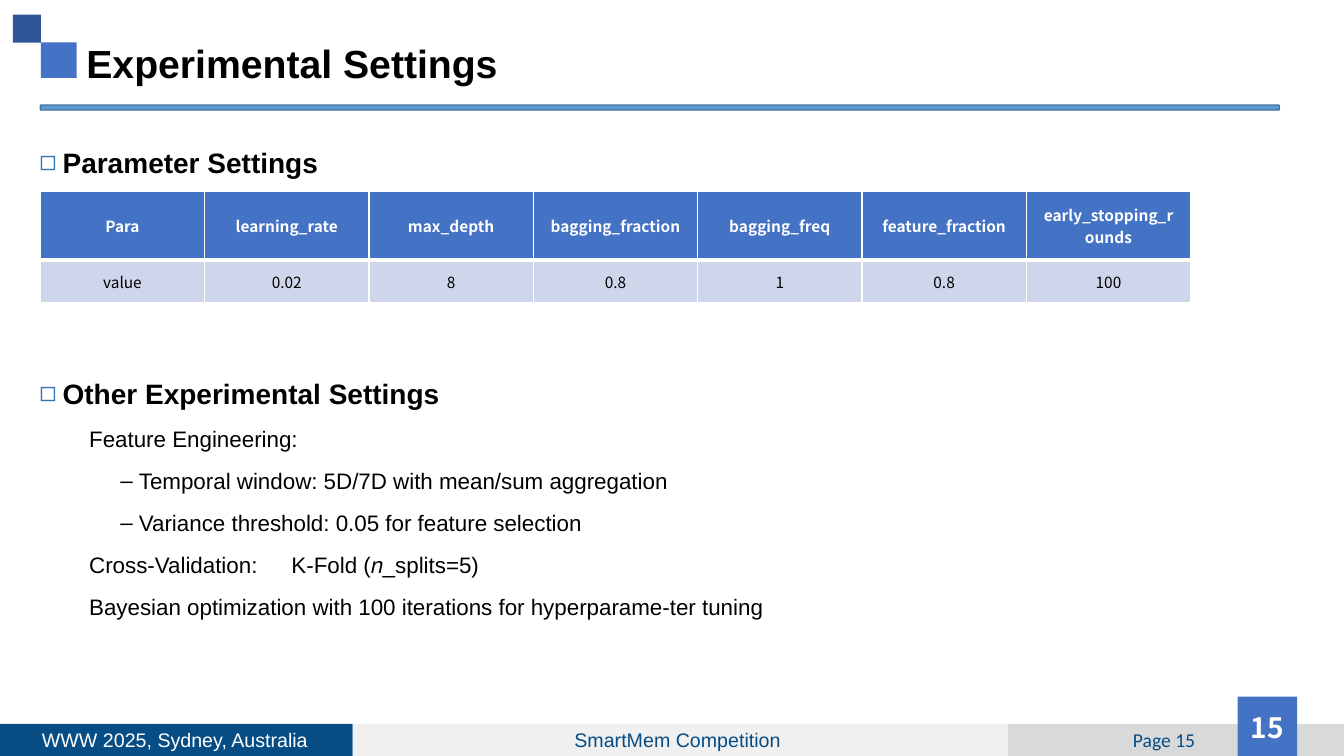
"""Build the Experimental Settings slide with its table, list and footer."""
from lxml.etree import SubElement
from pptx import Presentation
from pptx.dml.color import RGBColor
from pptx.enum.shapes import MSO_SHAPE
from pptx.enum.text import MSO_ANCHOR, MSO_AUTO_SIZE, PP_ALIGN
from pptx.oxml.ns import qn
from pptx.util import Pt


class Theme:
    black, white = "000000", "FFFFFF"
    blue, navy, deep = "4472C4", "2F5597", "064C85"
    pale, gray, light = "CFD5EA", "D9D9D9", "F0F0F0"
    rule, edge, mark = "5B9BD5", "43739E", "2E75B6"
    sans, calm, wide = "Arial", "Calibri", "Noto Sans CJK SC"
    title, head, body, foot, page, cell = 28, 20, 16, 14, 20, 11


def style(para, face, size, color, bold=False, align=PP_ALIGN.CENTER):
    para.alignment = align
    font = para.font
    font.name, font.size, font.bold = face, Pt(size), bold
    font.color.rgb = RGBColor.from_string(color)


deck = Presentation()
deck.slide_width, deck.slide_height = Pt(960), Pt(540)
slide = deck.slides.add_slide(deck.slide_layouts[1])
shapes = slide.shapes

blocks = [
    (MSO_SHAPE.RECTANGLE, 0, 517, 252, 23, Theme.deep),
    (MSO_SHAPE.RECTANGLE, 252, 517, 468, 23, Theme.light),
    (MSO_SHAPE.RECTANGLE, 720, 517, 240, 23, Theme.gray),
    (MSO_SHAPE.RECTANGLE, 29.3, 30.3, 25.4, 25.4, Theme.blue),
    (MSO_SHAPE.RECTANGLE, 9.3, 10.5, 20, 20, Theme.navy),
    (MSO_SHAPE.RECTANGLE, 884, 497.5, 42.5, 42.5, Theme.blue),
    (MSO_SHAPE.ROUNDED_RECTANGLE, 28.8, 75, 885, 3.6, Theme.rule),
]
for kind, left, top, width, height, color in blocks:
    block = shapes.add_shape(kind, Pt(left), Pt(top), Pt(width), Pt(height))
    block.shadow.inherit = False
    block.fill.solid()
    block.fill.fore_color.rgb = RGBColor.from_string(color)
    if color == Theme.rule:
        block.line.color.rgb = RGBColor.from_string(Theme.edge)
        block.line.width = Pt(1)
    else:
        block.line.fill.background()

labels = [
    ("WWW 2025, Sydney, Australia", 17, 514, 216, Theme.sans, Theme.foot, Theme.white),
    ("SmartMem Competition", 252, 514, 464, Theme.sans, Theme.foot, Theme.deep),
    ("Page 15", 724, 514, 215, Theme.calm, Theme.foot, Theme.deep),
    ("15", 850.5, 505, 109.5, Theme.wide, Theme.page, Theme.white),
]
for text, left, top, width, face, size, color in labels:
    frame = shapes.add_textbox(Pt(left), Pt(top), Pt(width), Pt(29)).text_frame
    frame.word_wrap = True
    frame.vertical_anchor = MSO_ANCHOR.MIDDLE
    frame.text = text
    style(frame.paragraphs[0], face, size, color, face == Theme.wide)

title = shapes.title
title.left, title.top, title.width, title.height = Pt(54.5), Pt(24.5), Pt(755), Pt(41)
frame = title.text_frame
frame.text = "Experimental Settings"
frame.auto_size = MSO_AUTO_SIZE.NONE
frame.vertical_anchor = MSO_ANCHOR.MIDDLE
style(frame.paragraphs[0], Theme.sans, Theme.title, Theme.black, True, PP_ALIGN.LEFT)

body = slide.placeholders[1]
body.left, body.top, body.width, body.height = Pt(21), Pt(88.3), Pt(885), Pt(354)
frame = body.text_frame
frame.auto_size = MSO_AUTO_SIZE.NONE
frame.vertical_anchor = MSO_ANCHOR.TOP
items = [
    ("Parameter Settings", "◻", 16.5, -16.5, 0),
    ("Other Experimental Settings", "◻", 16.5, -16.5, 129),
    ("Feature Engineering:", None, 0, 35.5, 1.2),
    ("Temporal window: 5D/7D with mean/sum aggregation", "–", 71, -13.3, 1.2),
    ("Variance threshold: 0.05 for feature selection", "–", 71, -13.3, 1.2),
    ("Cross-Validation:\tK-Fold (𝑛_splits=5)", None, 0, 35.5, 1.2),
    ("Bayesian optimization with 100 iterations for hyperparame-ter tuning",
     None, 0, 35.5, 1.2),
]
for spot, (text, sign, margin, indent, gap) in enumerate(items):
    para = frame.paragraphs[0] if spot == 0 else frame.add_paragraph()
    para.text = text
    props = para._p.get_or_add_pPr()
    props.set("marL", str(Pt(margin)))
    props.set("indent", str(Pt(indent)))
    main = sign == "◻"
    if sign:
        tint = SubElement(props, qn("a:buClr"))
        SubElement(tint, qn("a:srgbClr"), val=Theme.mark if main else Theme.black)
        SubElement(props, qn("a:buChar"), char=sign)
    else:
        SubElement(props, qn("a:buNone"))
    if "\t" in text:
        tabs = SubElement(props, qn("a:tabLst"))
        SubElement(tabs, qn("a:tab"), pos=str(Pt(168.5)), algn="l")
    para.line_spacing = 1.5
    para.space_before, para.space_after = Pt(gap), Pt(0)
    size = Theme.head if main else Theme.body
    style(para, Theme.sans, size, Theme.black, main, PP_ALIGN.LEFT)

rows = [
    ["Para", "learning_rate", "max_depth", "bagging_fraction", "bagging_freq",
     "feature_fraction", "early_stopping_rounds"],
    ["value", "0.02", "8", "0.8", "1", "0.8", "100"],
]
looks = [(48.5, Theme.blue, Theme.white, True), (31, Theme.pale, Theme.black, False)]
table = shapes.add_table(2, 7, Pt(28.8), Pt(137), Pt(821.8), Pt(79.5)).table
for column in table.columns:
    column.width = Pt(117.4)
for row, texts, (height, fill, color, bold) in zip(table.rows, rows, looks):
    row.height = Pt(height)
    for cell, text in zip(row.cells, texts):
        cell.text = text
        cell.vertical_anchor = MSO_ANCHOR.MIDDLE
        cell.margin_left = cell.margin_right = Pt(12)
        cell.margin_top = cell.margin_bottom = Pt(4)
        style(cell.text_frame.paragraphs[0], Theme.wide, Theme.cell, color, bold)
        props = cell._tc.get_or_add_tcPr()
        for side in ("lnL", "lnR", "lnT", "lnB"):
            thick = 3 if side == ("lnB" if bold else "lnT") else 1
            line = SubElement(props, qn(f"a:{side}"), w=str(Pt(thick)))
            paint = SubElement(line, qn("a:solidFill"))
            SubElement(paint, qn("a:srgbClr"), val=Theme.white)
        cell.fill.solid()
        cell.fill.fore_color.rgb = RGBColor.from_string(fill)

deck.save("out.pptx")
